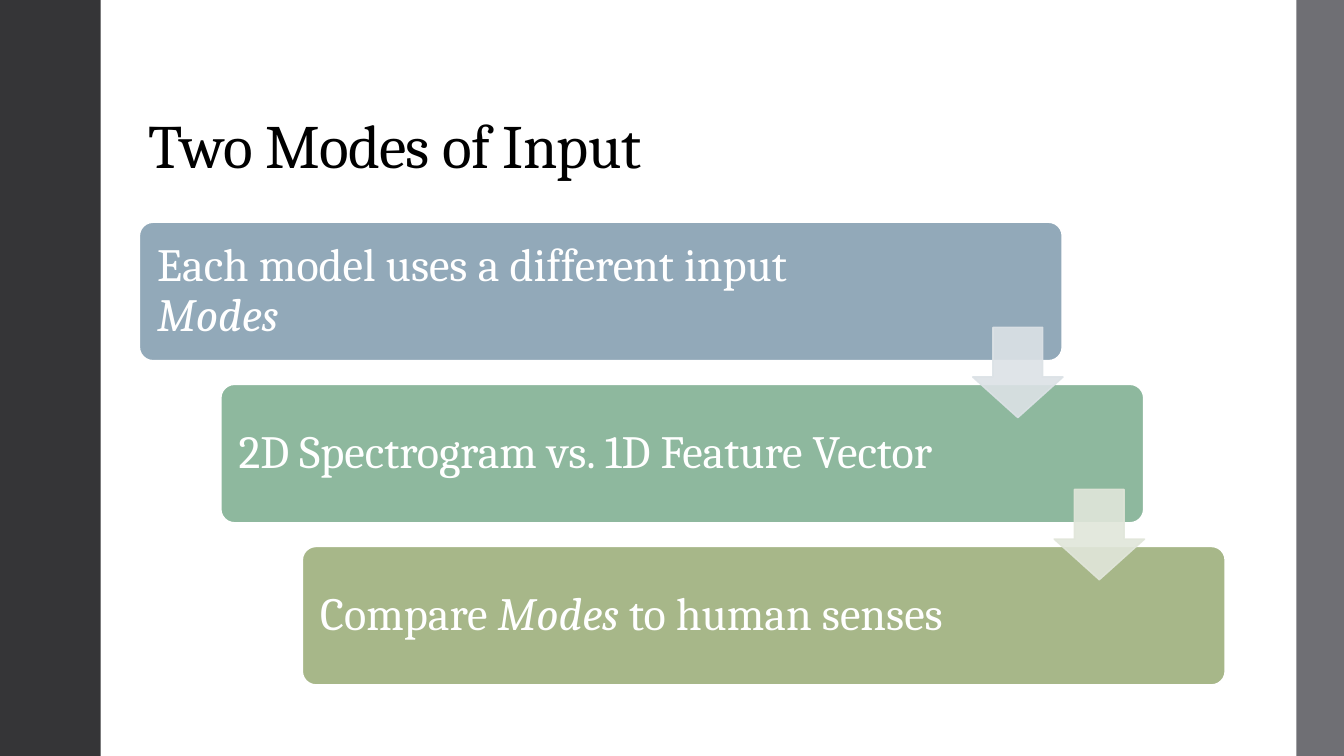
"""Build the "Two Modes of Input" slide: three stepped boxes joined by arrows."""
from dataclasses import dataclass

from lxml import etree
from pptx import Presentation
from pptx.dml.color import RGBColor
from pptx.enum.shapes import MSO_SHAPE
from pptx.enum.text import MSO_ANCHOR, PP_ALIGN
from pptx.oxml.ns import qn
from pptx.util import Pt

RECT, ROUNDED, ARROW = MSO_SHAPE.RECTANGLE, MSO_SHAPE.ROUNDED_RECTANGLE, MSO_SHAPE.DOWN_ARROW
MIDDLE, BOTTOM = MSO_ANCHOR.MIDDLE, MSO_ANCHOR.BOTTOM
LEFT = PP_ALIGN.LEFT


@dataclass(frozen=True)
class Theme:
    font: str = "Cambria"
    title_size: float = 44
    step_size: float = 33
    black: str = "000000"
    white: str = "FFFFFF"
    left_bar: str = "353537"
    right_bar: str = "6F6F74"
    steps: tuple = ("92A9B9", "8EB89E", "A7B789")
    arrows: tuple = ("DCE2E6", "E1E6DA")


theme = Theme()


def add_text(sp, runs, size, color, anchor, margins, spacing=0):
    tf = sp.text_frame
    tf.word_wrap = True
    tf.vertical_anchor = anchor
    tf.margin_left, tf.margin_top, tf.margin_right, tf.margin_bottom = map(Pt, margins)
    p = tf.paragraphs[0]
    p.alignment = LEFT
    p.line_spacing = 0.9
    for text, italic in runs:
        r = p.add_run()
        r.text = text
        r.font.name = theme.font
        r.font.size = Pt(size)
        r.font.italic = italic
        r.font.color.rgb = RGBColor.from_string(color)
        if spacing:
            r.font._element.set("spc", str(round(spacing * 100)))


def add_block(kind, left, top, width, height, fill, line=None, line_width=1, adjust=(), alpha=100):
    sp = s.shapes.add_shape(kind, Pt(left), Pt(top), Pt(width), Pt(height))
    sp.shadow.inherit = False
    for i, value in enumerate(adjust):
        sp.adjustments[i] = value
    sp.fill.solid()
    sp.fill.fore_color.rgb = RGBColor.from_string(fill)
    if line:
        sp.line.color.rgb = RGBColor.from_string(line)
        sp.line.width = Pt(line_width)
    else:
        sp.line.fill.background()
    if alpha < 100:
        for clr in sp._element.spPr.iter(qn("a:srgbClr")):
            etree.SubElement(clr, qn("a:alpha")).set("val", str(alpha * 1000))
    return sp


prs = Presentation()
prs.slide_width, prs.slide_height = Pt(960), Pt(540)
s = prs.slides.add_slide(prs.slide_layouts[6])

title = s.shapes.add_textbox(Pt(99.2), Pt(28.8), Pt(776), Pt(104.4))
add_text(title, [("Two Modes of Input", False)], theme.title_size, theme.black,
         BOTTOM, (7.2, 3.6, 7.2, 3.6), spacing=-0.5)

for left, width, color in ((0, 72, theme.left_bar), (926, 34, theme.right_bar)):
    add_block(RECT, left, 0, width, 540, color)

step_x, step_y = 58.2, 115.8
steps = (
    [("Each model uses a different input ", False), ("Modes", True)],
    [("2D Spectrogram vs. 1D Feature Vector", False)],
    [("Compare ", False), ("Modes", True), (" to human senses", False)],
)
for i, (runs, color) in enumerate(zip(steps, theme.steps)):
    box = add_block(ROUNDED, 99.4 + i * step_x, 158.6 + i * step_y, 659.5, 99.2,
                    color, theme.white, 1.35, (0.1,))
    add_text(box, runs, theme.step_size, theme.white, MIDDLE, (10, 10, 132, 10))

for i, color in enumerate(theme.arrows):
    add_block(ARROW, 694.8 + i * step_x, 233.8 + i * step_y, 64.5, 64.5,
              color, color, 1.1, (0.55, 0.45), alpha=90)

prs.save("out.pptx")
